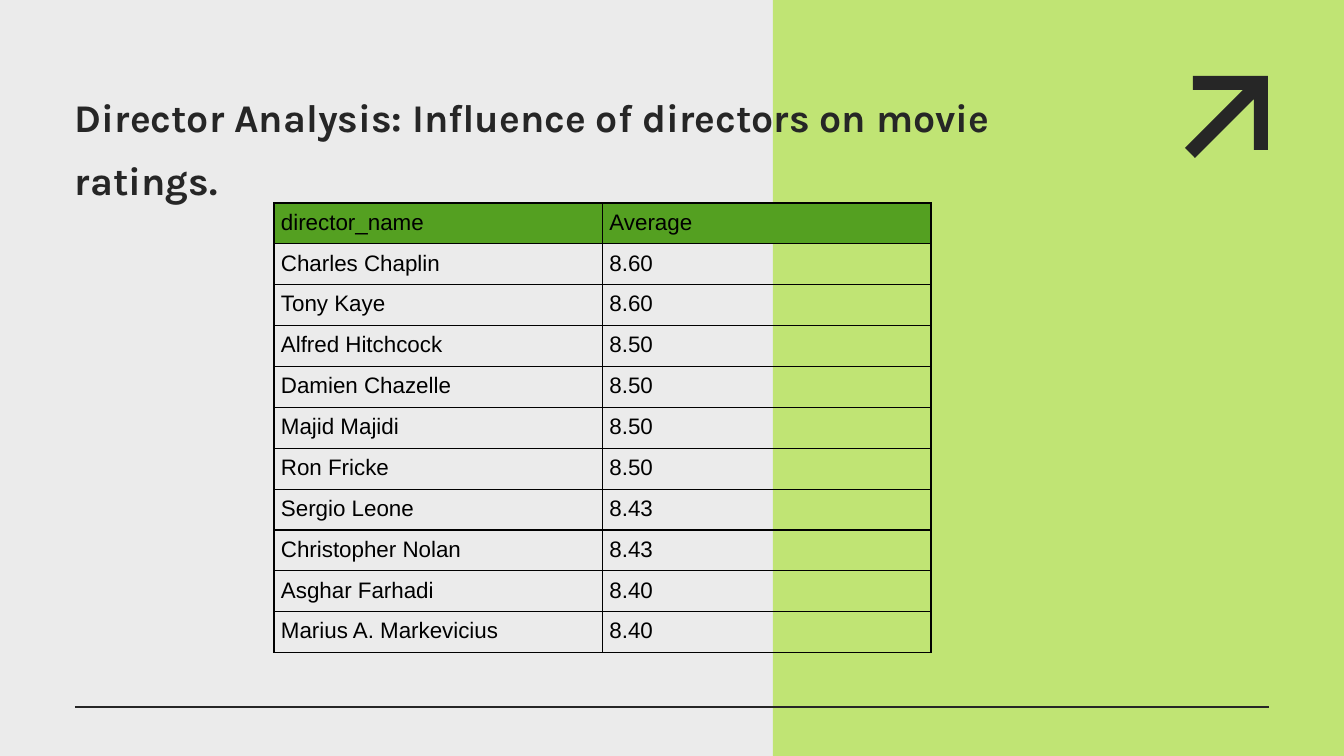
import pptx
import pptx.util
import pptx.dml.color
import pptx.enum.shapes
import pptx.enum.text
import lxml.etree

# Content
TITLE = "Director Analysis: Influence of directors on movie ratings."
RATINGS = [
    ("director_name", "Average"),
    ("Charles Chaplin", "8.60"),
    ("Tony Kaye", "8.60"),
    ("Alfred Hitchcock", "8.50"),
    ("Damien Chazelle", "8.50"),
    ("Majid Majidi", "8.50"),
    ("Ron Fricke", "8.50"),
    ("Sergio Leone", "8.43"),
    ("Christopher Nolan", "8.43"),
    ("Asghar Farhadi", "8.40"),
    ("Marius A. Markevicius", "8.40"),
]
ARROW = [(1268, 76), (1268, 150), (1254, 150), (1254, 99), (1195, 158),
         (1185, 148), (1243, 90), (1193, 90), (1193, 76)]

# Layout in px
EMU_PER_PX = 914400 / 100.8
SLIDE_W, SLIDE_H = 1344, 756
PANEL_LEFT = 773
RULE_LEFT, RULE_RIGHT, RULE_Y = 75, 1269, 707
TABLE_LEFT, TABLE_TOP, TABLE_W, TABLE_H = 274, 203, 657, 450
CELL_MARGIN = 7

INK, PAPER, LIME, GREEN, BLACK = "262626", "EBEBEB", "C0E474", "54A021", "000000"


def px(length):
    return pptx.util.Emu(round(length * EMU_PER_PX))


def color(value):
    return pptx.dml.color.RGBColor.from_string(value)


def paint(shape, value):
    shape.shadow.inherit = False
    shape.fill.solid()
    shape.fill.fore_color.rgb = color(value)
    shape.line.fill.background()


def add_run(paragraph, text, font, size, value, bold=False):
    run = paragraph.add_run()
    run.text = text
    run.font.name = font
    run.font.size = pptx.util.Pt(size)
    run.font.bold = bold
    run.font.color.rgb = color(value)


def add_borders(cell):
    properties = cell._tc.get_or_add_tcPr()
    for position, side in enumerate(("lnL", "lnR", "lnT", "lnB")):
        border = pptx.oxml.parse_xml(
            f'<a:{side} xmlns:a="http://schemas.openxmlformats.org/drawingml/2006/main" w="12700">'
            f'<a:solidFill><a:srgbClr val="{BLACK}"/></a:solidFill></a:{side}>')
        properties.insert(position, border)


deck = pptx.Presentation()
deck.slide_width, deck.slide_height = px(SLIDE_W), px(SLIDE_H)
slide = deck.slides.add_slide(deck.slide_layouts[6])
slide.background.fill.solid()
slide.background.fill.fore_color.rgb = color(PAPER)

# Right panel
panel = slide.shapes.add_shape(
    pptx.enum.shapes.MSO_SHAPE.RECTANGLE,
    px(PANEL_LEFT), 0, px(SLIDE_W - PANEL_LEFT), px(SLIDE_H))
paint(panel, LIME)

# Corner arrow
outline = slide.shapes.build_freeform(*ARROW[0], scale=EMU_PER_PX)
outline.add_line_segments(ARROW[1:], close=True)
paint(outline.convert_to_shape(), INK)

# Bottom rule
rule = slide.shapes.add_connector(
    pptx.enum.shapes.MSO_CONNECTOR.STRAIGHT,
    px(RULE_LEFT), px(RULE_Y), px(RULE_RIGHT), px(RULE_Y))
rule.line.color.rgb = color(INK)
rule.line.width = pptx.util.Pt(1.5)
lxml.etree.SubElement(rule._element.spPr, pptx.oxml.ns.qn("a:effectLst"))

# Title
title = slide.shapes.add_textbox(px(RULE_LEFT), px(77), px(1056), px(143)).text_frame
title.word_wrap = True
title.vertical_anchor = pptx.enum.text.MSO_ANCHOR.TOP
title.margin_left = title.margin_top = title.margin_bottom = 0
title.margin_right = px(50)
title.paragraphs[0].line_spacing = pptx.util.Pt(45)
add_run(title.paragraphs[0], TITLE, "Karla", 28, INK, bold=True)

# Ratings table
ratings = slide.shapes.add_table(
    len(RATINGS), len(RATINGS[0]),
    px(TABLE_LEFT), px(TABLE_TOP), px(TABLE_W), px(TABLE_H)).table
ratings.first_row = ratings.horz_banding = False
for r, entry in enumerate(RATINGS):
    for c, value in enumerate(entry):
        cell = ratings.cell(r, c)
        cell.margin_left = cell.margin_right = px(CELL_MARGIN)
        cell.margin_top = cell.margin_bottom = px(CELL_MARGIN)
        if r == 0:
            cell.fill.solid()
            cell.fill.fore_color.rgb = color(GREEN)
        else:
            cell.fill.background()
        add_borders(cell)
        add_run(cell.text_frame.paragraphs[0], value, "Arial", 16, BLACK)

deck.save("out.pptx")
